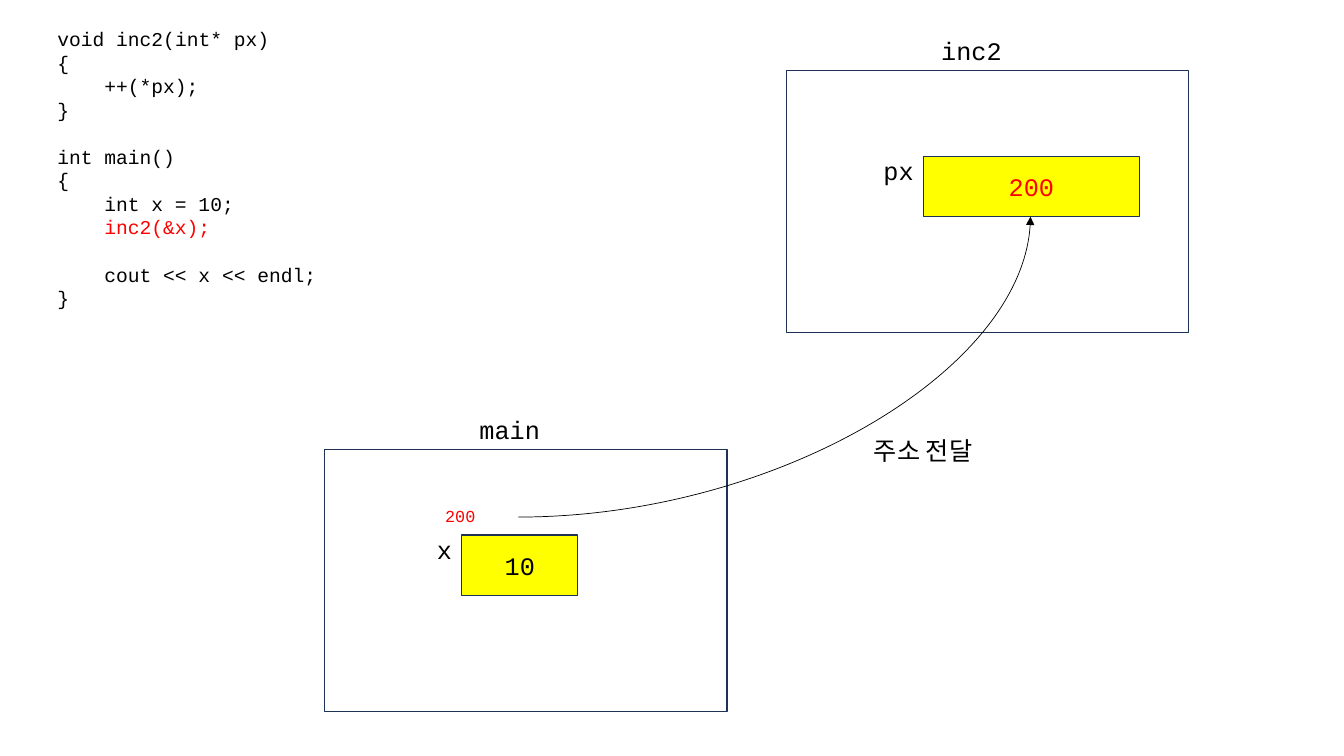
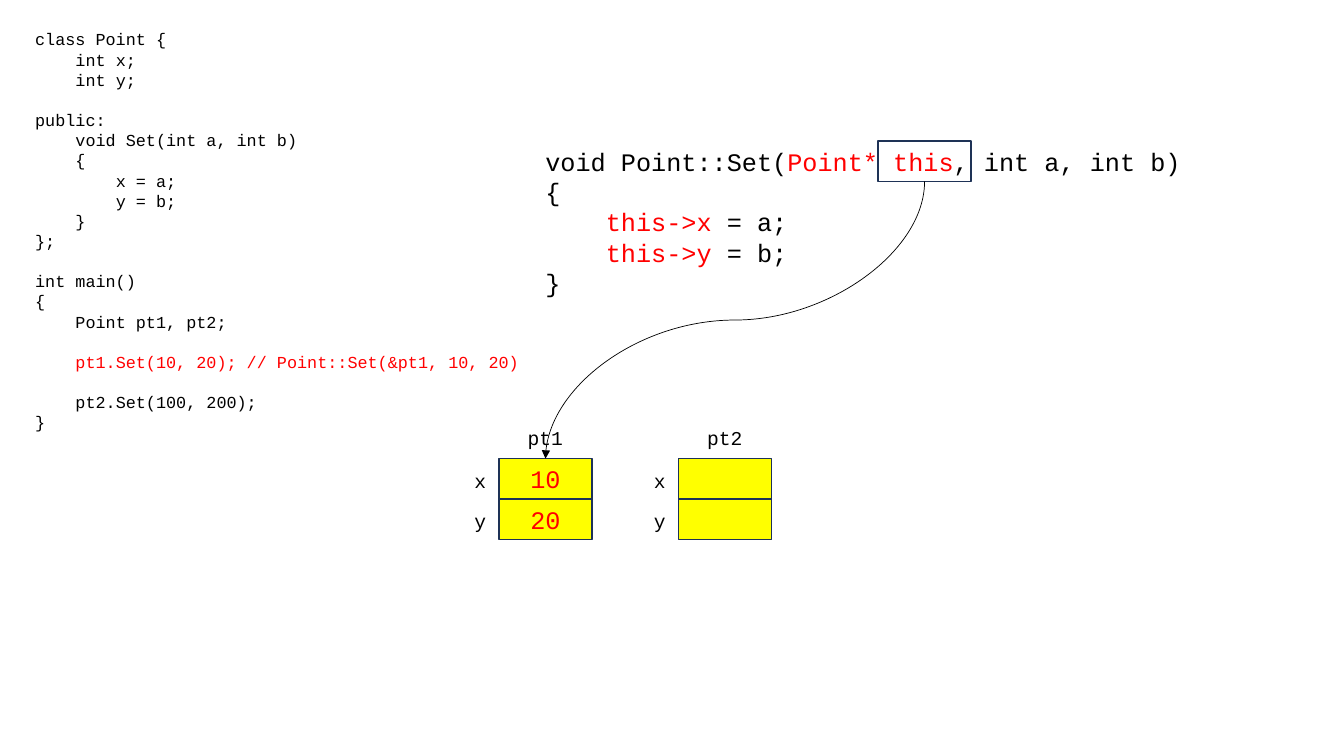
from lxml import etree
from pptx import Presentation
from pptx.dml.color import RGBColor
from pptx.enum.shapes import MSO_CONNECTOR, MSO_SHAPE
from pptx.enum.text import MSO_ANCHOR, PP_ALIGN
from pptx.oxml.ns import qn
from pptx.util import Inches, Pt

RECTANGLE = MSO_SHAPE.RECTANGLE
CURVE = MSO_CONNECTOR.CURVE
TOP, MIDDLE = MSO_ANCHOR.TOP, MSO_ANCHOR.MIDDLE
LEFT, CENTER, RIGHT = PP_ALIGN.LEFT, PP_ALIGN.CENTER, PP_ALIGN.RIGHT

# Shared style
FONT = "Courier New"
BLACK, RED, WHITE = "000000", "FF0000", "FFFFFF"
YELLOW, OUTLINE = "FFFF00", "1E3256"
LINE_HEIGHT = 1.2   # of the text size
CHAR_WIDTH = 0.6    # of the text size

# Content: code between ` marks is red
INC2_CODE = """
void inc2(int* px)
{
    ++(*px);
}

int main()
{
    int x = 10;
    `inc2(&x);`

    cout << x << endl;
}
"""
POINT_CODE = """
class Point {
    int x;
    int y;

public:
    void Set(int a, int b)
    {
        x = a;
        y = b;
    }
};

int main()
{
    Point pt1, pt2;

    `pt1.Set(10, 20); // Point::Set(&pt1, 10, 20)`

    pt2.Set(100, 200);
}
"""
SET_CODE = """
void Point::Set(`Point* this`, int a, int b)
{
    `this->x` = a;
    `this->y` = b;
}
"""
# function, left, top, variable, value, value colour, variable width
STACK_FRAMES = [
    ("main", 3.22, 4.46, "x", "10", BLACK, 1.15),
    ("inc2", 7.8, 0.7, "px", "200", RED, 2.14),
]
# object, left, members
POINTS = [
    ("pt1", 4.95, [("x", "10"), ("y", "20")]),
    ("pt2", 6.73, [("x", ""), ("y", "")]),
]
POINTS_TOP = 4.55
CELL_WIDTH, CELL_HEIGHT = 0.92, 0.4


def color(value):
    return RGBColor.from_string(value)


def format_paragraph(paragraph, size, text_color, align):
    paragraph.alignment = align
    paragraph.line_spacing = Pt(size * LINE_HEIGHT)
    paragraph.font.name = FONT
    paragraph.font.size = Pt(size)
    paragraph.font.color.rgb = color(text_color)


def add_text(slide, left, top, width, height, text, size=18,
             text_color=BLACK, align=CENTER):
    box = slide.shapes.add_textbox(Inches(left), Inches(top),
                                   Inches(width), Inches(height))
    frame = box.text_frame
    frame.word_wrap = True
    frame.vertical_anchor = TOP
    frame.text = text
    format_paragraph(frame.paragraphs[0], size, text_color, align)
    return frame


def add_code(slide, left, top, width, height, code, size):
    """Turn leading spaces into indents and empty lines into spacing."""
    frame = add_text(slide, left, top, width, height, "", size, align=LEFT)
    paragraph, gap = frame.paragraphs[0], 0
    for number, line in enumerate(code.strip().split("\n")):
        if not line:
            gap += 1
            continue
        if number:
            paragraph = frame.add_paragraph()
            format_paragraph(paragraph, size, BLACK, LEFT)
        paragraph.space_before = Pt(gap * size * LINE_HEIGHT)
        gap = 0
        text = line.lstrip()
        indent = Pt((len(line) - len(text)) * size * CHAR_WIDTH)
        properties = paragraph._p.get_or_add_pPr()
        properties.set("marL", str(indent))
        properties.set("indent", "0")
        for position, part in enumerate(text.split("`")):
            if part:
                run = paragraph.add_run()
                run.text = part
                if position % 2:
                    run.font.color.rgb = color(RED)


def add_box(slide, left, top, width, height, fill=None, text="",
            text_color=BLACK):
    shape = slide.shapes.add_shape(RECTANGLE, Inches(left), Inches(top),
                                   Inches(width), Inches(height))
    shape.shadow.inherit = False
    if fill:
        shape.fill.solid()
        shape.fill.fore_color.rgb = color(fill)
    else:
        shape.fill.background()
    shape.line.color.rgb = color(OUTLINE)
    shape.line.width = Pt(1)
    if text:
        shape.text_frame.text = text
        shape.text_frame.vertical_anchor = MIDDLE
        format_paragraph(shape.text_frame.paragraphs[0], 18, text_color, CENTER)


def add_curve(slide, begin, end, preset, quarter_turn=False):
    """A quarter turn makes the curve leave and arrive vertically."""
    (x1, y1), (x2, y2) = begin, end
    if quarter_turn:
        middle_x, middle_y = (x1 + x2) / 2, (y1 + y2) / 2
        half_width, half_height = (y2 - y1) / 2, (x1 - x2) / 2
        x1, x2 = middle_x - half_width, middle_x + half_width
        y1, y2 = middle_y - half_height, middle_y + half_height
    curve = slide.shapes.add_connector(CURVE, Inches(x1), Inches(y1),
                                       Inches(x2), Inches(y2))
    curve.line.color.rgb = color(BLACK)
    curve.line.width = Pt(0.5)
    properties = curve._element.spPr
    properties.find(qn("a:prstGeom")).set("prst", preset)
    if quarter_turn:
        properties.find(qn("a:xfrm")).set("rot", str(90 * 60000))
    arrowhead = etree.SubElement(properties.find(qn("a:ln")), qn("a:tailEnd"))
    arrowhead.set("type", "triangle")
    etree.SubElement(properties, qn("a:effectLst"))


def add_stack_frame(slide, function, left, top, variable, value, value_color,
                    width):
    add_box(slide, left, top, 3.99, 2.6, WHITE)
    add_text(slide, left + 1.27, top - 0.4, 1.13, 0.4, function)
    add_box(slide, left + 1.36, top + 0.85, width, 0.6, YELLOW, value,
            value_color)
    add_text(slide, left + 0.85, top + 0.79, 0.51, 0.4, variable, align=RIGHT)


def add_point(slide, name, left, members):
    for row, (member, value) in enumerate(members):
        top = POINTS_TOP + row * CELL_HEIGHT
        add_box(slide, left, top, CELL_WIDTH, CELL_HEIGHT, YELLOW, value, RED)
        add_text(slide, left - 0.54, top + 0.05, 0.51, 0.34, member, 14,
                 align=RIGHT)
    add_text(slide, left + 0.06, POINTS_TOP - 0.37, 0.8, 0.34, name, 14)


def build_pointer_slide(slide):
    add_code(slide, 0.47, 0.22, 6.67, 2.93, INC2_CODE, 14)
    for stack_frame in STACK_FRAMES:
        add_stack_frame(slide, *stack_frame)
    add_text(slide, 4, 4.97, 1.13, 0.3, "200", 12, RED)
    add_curve(slide, (5.14, 5.13), (10.22, 2.15), "curvedConnector2")
    add_text(slide, 8.25, 4.27, 1.81, 0.4, "주소 전달")


def build_this_slide(slide):
    add_code(slide, 0.25, 0.24, 5.15, 4.14, POINT_CODE, 12)
    for point in POINTS:
        add_point(slide, *point)
    add_code(slide, 5.31, 1.4, 6.81, 1.62, SET_CODE, 18)
    this_left, this_top = 8.71, 1.4
    add_box(slide, this_left, this_top, CELL_WIDTH, CELL_HEIGHT)
    add_curve(slide,
              (this_left + CELL_WIDTH / 2, this_top + CELL_HEIGHT),
              (POINTS[0][1] + CELL_WIDTH / 2, POINTS_TOP),
              "curvedConnector3", quarter_turn=True)


def main():
    presentation = Presentation()
    presentation.slide_width = Inches(13.33)
    presentation.slide_height = Inches(7.5)
    blank_layout = presentation.slide_layouts[6]
    for build in (build_pointer_slide, build_this_slide):
        build(presentation.slides.add_slide(blank_layout))
    presentation.save("out.pptx")


if __name__ == "__main__":
    main()
